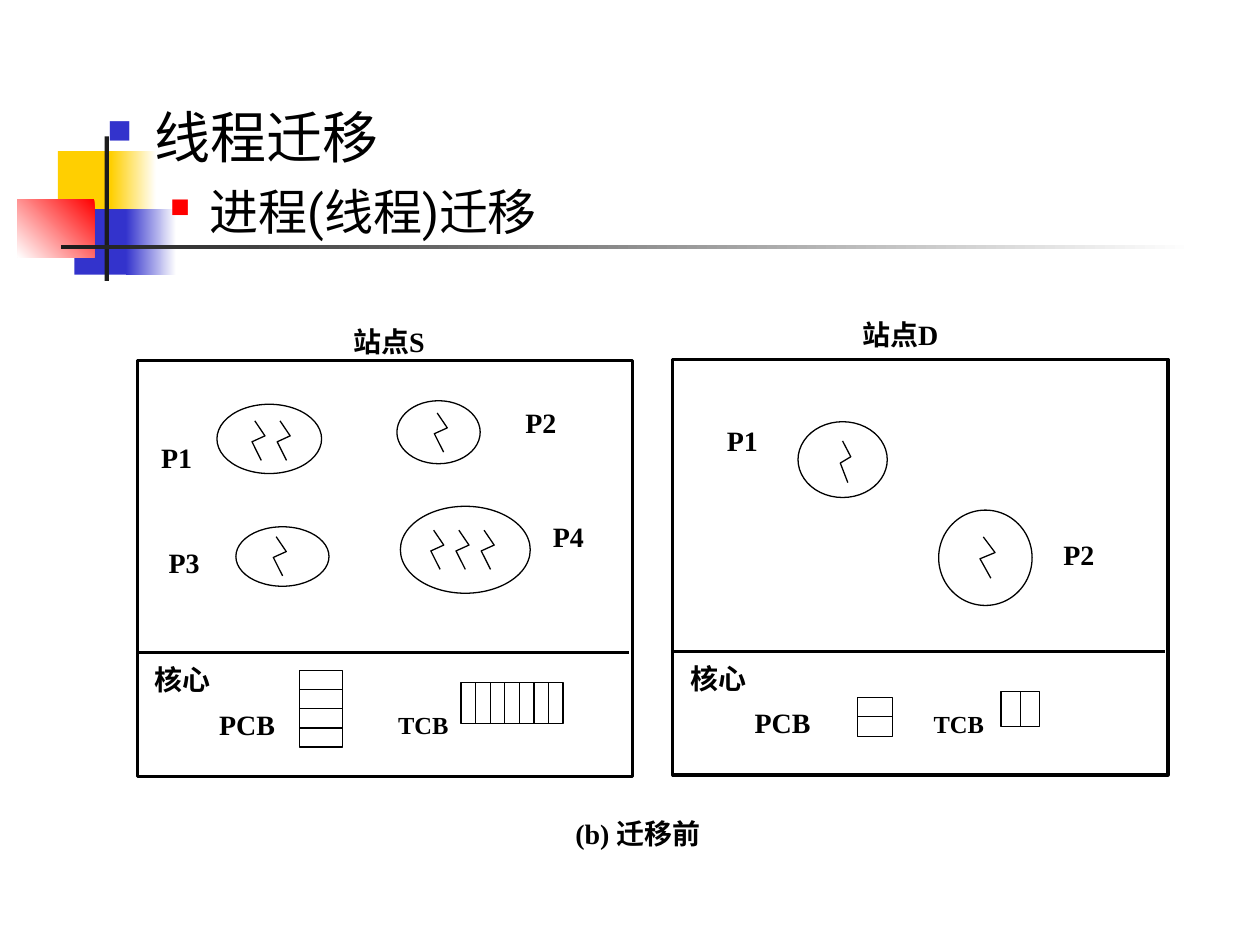
from lxml.etree import SubElement
from pptx import Presentation
from pptx.dml.color import RGBColor
from pptx.enum.shapes import MSO_CONNECTOR, MSO_SHAPE
from pptx.enum.text import MSO_ANCHOR, MSO_AUTO_SIZE, PP_ALIGN
from pptx.oxml.ns import qn
from pptx.util import Pt

LATIN = "Times New Roman"
HAN = "Noto Sans CJK SC"
SANS = "Roboto"
BOLT = [(0.22, 0), (1, 0.38), (0, 0.53), (0.72, 1)]


def tint(code):
    return RGBColor.from_string(code)


class Board:
    ink = "000000"
    thin = 0.75
    thick = 1.75
    step = 14.4

    def __init__(self, slide):
        self.slide = slide
        self.shapes = slide.shapes

    def block(self, x, y, w, h, color, angle=None):
        shape = self.shapes.add_shape(MSO_SHAPE.RECTANGLE, Pt(x), Pt(y), Pt(w), Pt(h))
        shape.shadow.inherit = False
        shape.line.fill.background()
        if angle is None:
            shape.fill.solid()
            shape.fill.fore_color.rgb = tint(color)
            return
        shape.fill.gradient()
        shape.fill.gradient_angle = angle
        for stop, code in zip(shape.fill.gradient_stops, (color, "FFFFFF")):
            stop.color.rgb = tint(code)

    def pen(self, shape, width):
        shape.line.color.rgb = tint(self.ink)
        shape.line.width = Pt(width)

    def frame(self, kind, x, y, w, h, width=thin):
        shape = self.shapes.add_shape(kind, Pt(x), Pt(y), Pt(w), Pt(h))
        shape.shadow.inherit = False
        shape.fill.background()
        self.pen(shape, width)
        return shape

    def rule(self, x1, y1, x2, y2, width=thin):
        line = self.shapes.add_connector(
            MSO_CONNECTOR.STRAIGHT, Pt(x1), Pt(y1), Pt(x2), Pt(y2))
        self.pen(line, width)
        SubElement(line._element.spPr, qn("a:effectLst"))
        return line

    def grid(self, x, y, w, h, count, across):
        rect = self.frame(MSO_SHAPE.RECTANGLE, x, y, w, h)
        for i in range(1, count):
            if across:
                at = x + w * i / count
                line = self.rule(at, y, at, y + h)
            else:
                at = y + h * i / count
                line = self.rule(x, at, x + w, at)
            if 2 * i == count:
                first, last = (0, 2) if across else (1, 3)
                line.begin_connect(rect, first)
                line.end_connect(rect, last)

    def bolt(self, x, y, w, h):
        points = [(Pt(x + w * u), Pt(y + h * v)) for u, v in BOLT]
        path = self.shapes.build_freeform(*points[0])
        path.add_line_segments(points[1:], close=False)
        shape = path.convert_to_shape()
        shape.shadow.inherit = False
        shape.fill.background()
        self.pen(shape, self.thin)

    def style(self, para, size, latin, han, bold=False):
        for run in para.runs:
            font = run.font
            font.size = Pt(size)
            font.bold = bold
            font.name = latin
            font.color.rgb = tint(self.ink)
            SubElement(run._r.get_or_add_rPr(), qn("a:ea"), typeface=han)

    def label(self, text, x, y, w, h, size=16, pad=(1.4, 0.7), align=PP_ALIGN.LEFT):
        box = self.shapes.add_textbox(Pt(x), Pt(y), Pt(w), Pt(h))
        frame = box.text_frame
        frame.word_wrap = True
        frame.vertical_anchor = MSO_ANCHOR.TOP
        frame.margin_left = frame.margin_right = Pt(pad[0])
        frame.margin_top = frame.margin_bottom = Pt(pad[1])
        frame.text = text
        para = frame.paragraphs[0]
        para.alignment = align
        self.style(para, size, LATIN, HAN, True)

    def title(self, text, x, y, w, h):
        self.label(text, x, y, w, h, pad=(7.2, 3.6), align=PP_ALIGN.CENTER)

    def site(self, x, y):
        self.frame(MSO_SHAPE.RECTANGLE, x, y, 283, 237.6, self.thick)
        self.rule(x - 0.7, y + 167, x + 281, y + 167, self.thick)
        self.title("核心", x - 2.7, y + 169, 57, 26)
        self.label("PCB", x + 45.4, y + 197.3, 40.3, 22.3)
        self.label("TCB", x + 147.6, y + 199, 35.3, 20.6, 14)

    def process(self, name, spot, oval, zig, count=1):
        self.label(name, *spot, 38, 21)
        self.frame(MSO_SHAPE.OVAL, *oval)
        x, y, w, h = zig
        for i in range(count):
            self.bolt(x + self.step * i, y, w, h)

    def outline(self, items):
        body = self.slide.placeholders[1]
        self.shapes._spTree.append(body._element)
        body.left, body.top, body.width, body.height = Pt(54), Pt(54.7), Pt(612), Pt(425.5)
        frame = body.text_frame
        frame.auto_size = MSO_AUTO_SIZE.NONE
        frame.vertical_anchor = MSO_ANCHOR.TOP
        for i, (text, size, han, color, part, left, hang, space) in enumerate(items):
            para = frame.paragraphs[0] if i == 0 else frame.add_paragraph()
            para.text = text
            para.level = i
            props = para._p.get_or_add_pPr()
            props.set("marL", str(Pt(left)))
            props.set("indent", str(-Pt(hang)))
            paint = SubElement(props, qn("a:buClr"))
            SubElement(paint, qn("a:srgbClr"), val=color)
            SubElement(props, qn("a:buSzPct"), val=str(part * 1000))
            SubElement(props, qn("a:buFont"), typeface="Wingdings")
            SubElement(props, qn("a:buChar"), char="n")
            para.space_before = Pt(space)
            self.style(para, size, SANS, han)


def main():
    deck = Presentation()
    deck.slide_width, deck.slide_height = Pt(720), Pt(540)
    slide = deck.slides.add_slide(deck.slide_layouts[1])
    head = slide.shapes.title._element
    head.getparent().remove(head)
    board = Board(slide)

    for block in [
        (33.1, 86.4, 34.6, 37.4, "FFCF01"),
        (63.4, 86.4, 25.9, 37.4, "FFCF01", 0),
        (42.5, 119.5, 33.1, 37.4, "3333CC"),
        (72, 119.5, 28.8, 37.4, "3333CC", 0),
        (10, 113.8, 44, 33.2, "FF0000", 225),
        (59.8, 78, 2.4, 82.6, "1C1C1C"),
        (34.6, 140, 648, 2.5, "1C1C1C", 0),
    ]:
        board.block(*block)

    board.outline([
        ("线程迁移", 32, SANS, "3333CC", 60, 27, 27, 0),
        ("进程(线程)迁移", 28, HAN, "FF0000", 55, 58.5, 22.5, 7),
    ])

    board.site(78.5, 206)
    board.site(384.5, 205.3)
    for process in [
        ("P1", (90.7, 251.3), (124, 231, 59.8, 39.6), (144, 240.5, 7.4, 22.6), 2),
        ("P2", (298.8, 231), (226.8, 229, 47.6, 36), (248.2, 236, 7.4, 22.4)),
        ("P3", (95, 311), (134.8, 301, 53.2, 34), (156.2, 306.7, 7.4, 22.4)),
        ("P4", (314.6, 296), (228.8, 289.3, 74.2, 49.7), (246.2, 303, 7.4, 22.4), 3),
        ("P1", (414, 241.2), (456, 241, 51, 43.3), (480.2, 252, 6, 23.8)),
        ("P2", (606.2, 306.7), (536.4, 291.5, 53.4, 54.5), (560, 306.8, 8.6, 23.6)),
    ]:
        board.process(*process)

    board.grid(171, 383, 24.8, 44, 4, False)
    board.grid(263.5, 390, 58.3, 23.6, 7, True)
    board.grid(490, 398.4, 20, 22.4, 2, False)
    board.grid(572, 395, 22.2, 20, 2, True)

    board.title("站点S", 188.8, 182, 67, 24)
    board.title("站点D", 481, 177.8, 67, 24)
    board.title("(b) 迁移前", 309.5, 463, 110, 22)
    deck.save("out.pptx")


if __name__ == "__main__":
    main()
